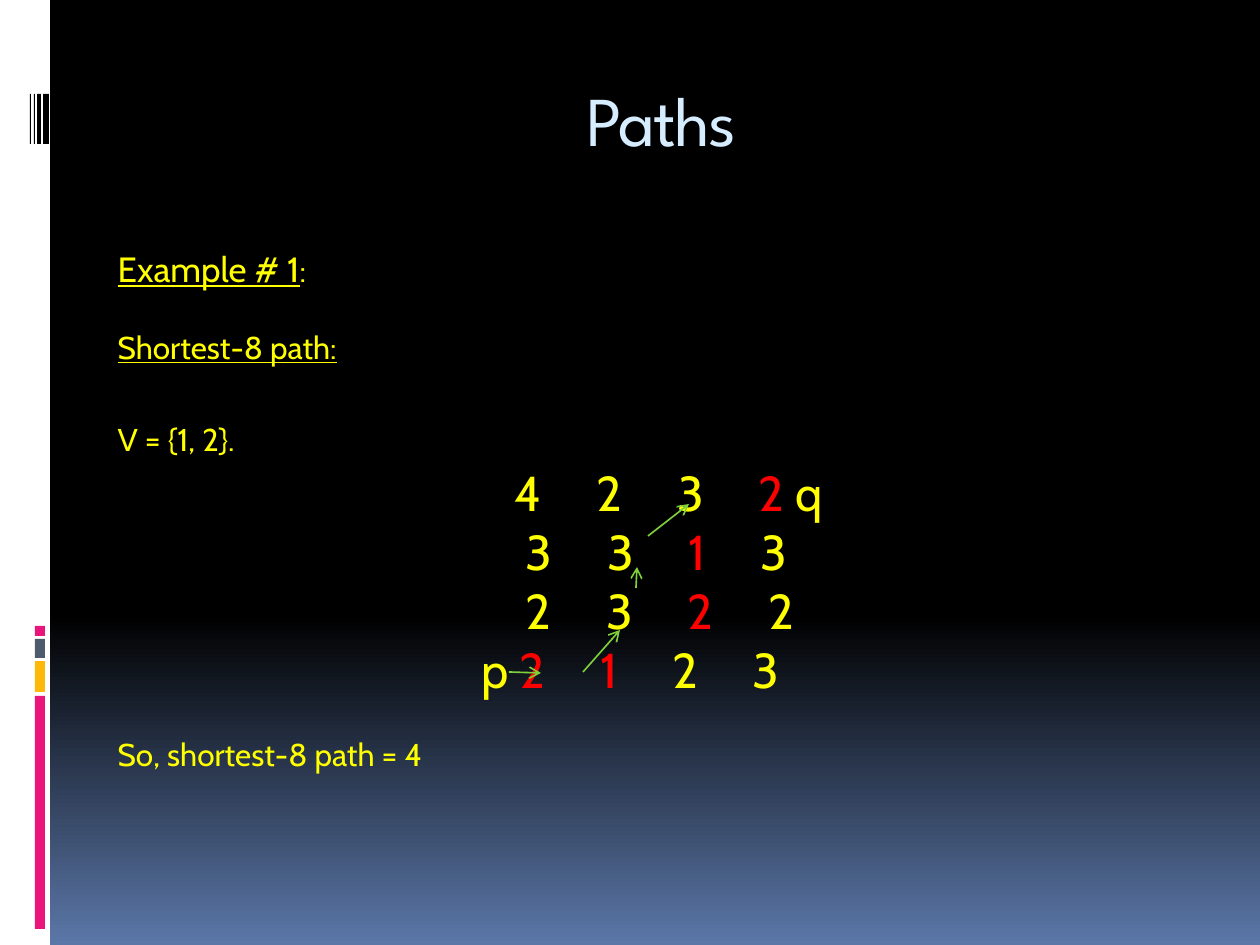
import pptx
import pptx.dml.color
import pptx.enum.shapes
import pptx.enum.text
import pptx.oxml.ns
import pptx.util
import lxml.etree

YELLOW, RED, GREEN = "FFFF00", "FF0000", "7FD13B"
PINK, ORANGE, SLATE = "EA157A", "FEB80A", "4E5B6F"
TITLE_FONT, BODY_FONT = "League Spartan", "Cabin"


def px(n):
    return pptx.util.Emu(round(n * 914400 / 126))


def rgb(value):
    return pptx.dml.color.RGBColor.from_string(value)


def child(parent, tag, **attrs):
    el = lxml.etree.SubElement(parent, pptx.oxml.ns.qn(tag))
    for key, value in attrs.items():
        el.set(key, value)
    return el


class Deck:
    def __init__(self):
        self.prs = pptx.Presentation()
        self.prs.slide_width, self.prs.slide_height = px(1260), px(945)
        self.s = self.prs.slides.add_slide(self.prs.slide_layouts[1])

    def background(self, start, end, begin):
        fill = self.s.background.fill
        fill.gradient()
        fill.gradient_angle = 270
        for stop, color, pos in zip(fill.gradient_stops, (start, end), (begin, 1)):
            stop.color.rgb = rgb(color)
            stop.position = pos

    def rect(self, x, y, w, h, color):
        sp = self.s.shapes.add_shape(
            pptx.enum.shapes.MSO_SHAPE.RECTANGLE, px(x), px(y), px(w), px(h))
        sp.shadow.inherit = False
        sp.fill.solid()
        sp.fill.fore_color.rgb = rgb(color)
        sp.line.fill.background()

    def place(self, idx, x, y, w, h):
        sp = self.s.placeholders[idx]
        sp.left, sp.top, sp.width, sp.height = px(x), px(y), px(w), px(h)
        tf = sp.text_frame
        tf.word_wrap = True
        tf.vertical_anchor = pptx.enum.text.MSO_ANCHOR.TOP
        tf.auto_size = pptx.enum.text.MSO_AUTO_SIZE.NONE
        return tf

    def run(self, p, text, size, color=YELLOW, font=BODY_FONT,
            underline=False, spacing=0):
        r = p.add_run()
        r.text = text
        r.font.size = pptx.util.Pt(size)
        r.font.name = font
        r.font.color.rgb = rgb(color)
        if underline:
            r.font.underline = True
        if spacing:
            r.font._element.set("spc", str(spacing * 100))

    def title(self, text, x, y, w, h):
        p = self.place(0, x, y, w, h).paragraphs[0]
        p.alignment = pptx.enum.text.PP_ALIGN.CENTER
        self.run(p, text, 40, "D6ECFF", TITLE_FONT, spacing=-1)

    def body(self, x, y, w, h):
        self.tf = self.place(1, x, y, w, h)
        self.started = False

    def paragraph(self, before=0, indent=0):
        p = self.tf.add_paragraph() if self.started else self.tf.paragraphs[0]
        self.started = True
        p.space_before = pptx.util.Pt(before)
        pPr = p._p.get_or_add_pPr()
        pPr.set("marL", str(int(px(indent))))
        pPr.set("indent", "0")
        child(pPr, "a:buNone")
        return p

    def line(self, text, size=18, before=0, underline=False):
        p = self.paragraph(before)
        self.run(p, text, size, underline=underline)
        return p

    def matrix_row(self, indent, cells, before=0):
        p = self.paragraph(before, indent)
        for i, text in enumerate(cells):
            if i:
                # End points p and q stand close to their cell
                close = "p" in cells[i - 1] or text == "q"
                self.run(p, " ", 28, spacing=0 if close else 25)
            self.run(p, text.strip("*"), 28, RED if "*" in text else YELLOW)

    def arrow(self, x1, y1, x2, y2):
        c = self.s.shapes.add_connector(
            pptx.enum.shapes.MSO_CONNECTOR.STRAIGHT, px(x1), px(y1), px(x2), px(y2))
        c.line.color.rgb = rgb(GREEN)
        c.line.width = pptx.util.Pt(0.94)
        child(c.line._get_or_add_ln(), "a:tailEnd", type="arrow")
        child(c._element.spPr, "a:effectLst")


def main():
    d = Deck()
    d.background("000000", "5B77A8", 0.65)

    # Side strip with colour blocks and bar code
    d.rect(0, 0, 50, 945, "FFFFFF")
    for y, h, color in ((696, 233, PINK), (661, 31, ORANGE),
                        (639, 19, SLATE), (626, 10, PINK)):
        d.rect(35, y, 10, h, color)
    for x, w in ((43, 6), (37, 4), (34, 1), (30, 1)):
        d.rect(x, 94, w, 50, "000000")

    d.title("Paths", 126, 70, 1071, 126)

    # Explanation
    d.body(105, 241, 998, 543)
    p = d.line("Example # 1", size=20, underline=True)
    d.run(p, ":", 18)
    d.line("Shortest-8 path:", before=22, underline=True)
    d.line("V = {1, 2}.", before=31)

    # Matrix: left indent and cells, a star marks a cell of the path
    rows = ((397, ("4", "2", "3", "2*", "q")),
            (408, ("3", "3", "1*", "3")),
            (408, ("2", "3", "2*", "2")),
            (364, ("p", "2*", "1*", "2", "3")))
    for i, (indent, cells) in enumerate(rows):
        d.matrix_row(indent, cells, before=0 if i else 3)
    d.line("So, shortest-8 path = 4", before=21)

    # Steps of the path
    for ends in ((636, 588, 637, 567), (509, 672, 541, 673),
                 (583, 672, 620, 630), (648, 536, 689, 504)):
        d.arrow(*ends)

    d.prs.save("out.pptx")


if __name__ == "__main__":
    main()
